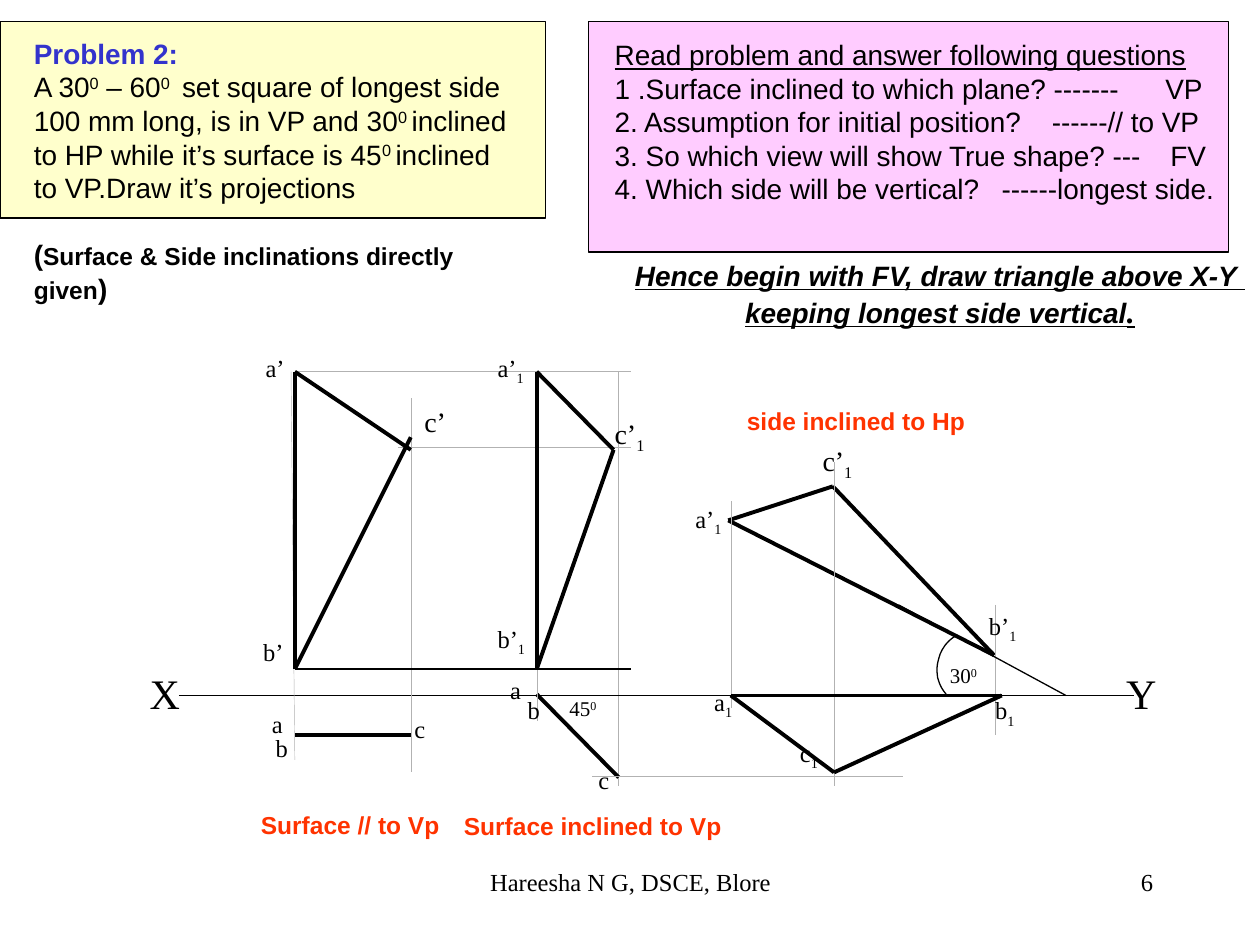
from itertools import pairwise

from lxml import etree
from pptx import Presentation
from pptx.dml.color import RGBColor
from pptx.enum.shapes import MSO_CONNECTOR, MSO_SHAPE
from pptx.enum.text import MSO_AUTO_SIZE, PP_ALIGN
from pptx.oxml.ns import qn
from pptx.util import Inches, Pt

LINE, RECT = MSO_CONNECTOR.STRAIGHT, MSO_SHAPE.RECTANGLE
LEFT, MID, RIGHT = PP_ALIGN.LEFT, PP_ALIGN.CENTER, PP_ALIGN.RIGHT
FIT = MSO_AUTO_SIZE.NONE

THEME = {
    "sans": "Arial", "serif": "Times New Roman",
    "black": "000000", "blue": "3333CC", "red": "FF3300", "gray": "B2B2B2",
    "cream": "FFFFCC", "pink": "FFCCFF",
    "axis": 24, "big": 18, "body": 16, "label": 14, "small": 12,
}
PENS = {"guide": ("gray", 0.25), "thin": ("black", 0.75), "edge": ("black", 2.25)}
SUP, SUB = {"shift": 30000}, {"shift": -25000}
BODY = {"font": "sans", "size": "body"}
BOLD = BODY | {"bold": True}
HEAD = BOLD | {"italic": True, "under": True}
NOTE = BOLD | {"size": "label", "color": "red"}

# Each run is (text, changes to the base style)
PROBLEM = [
    [("Problem 2:", {"bold": True, "color": "blue"})],
    [("A 30", {}), ("0", SUP), (" – 60", {}), ("0 ", SUP), (" set square of longest side", {})],
    [("100 mm long, is in VP and 30", {}), ("0 ", SUP), ("inclined", {})],
    [("to HP while it’s surface is 45", {}), ("0 ", SUP), ("inclined", {})],
    [("to VP.Draw it’s projections", {})],
    [("(", BOLD), ("Surface & Side inclinations directly given", BOLD | {"size": "label"}),
     (")", BOLD)],
]
# Question, answer, tab stop of the answer
ASKED = [
    ("1 .Surface inclined to which plane? -------", "VP", 4.37),
    ("2. Assumption for initial position?", "------// to VP", 3.47),
    ("3. So which view will show True shape? ---", "FV", 4.41),
    ("4. Which side will be vertical?", "------longest side.", 3.07),
]
HENCE = [
    [("Hence begin with FV, draw triangle above X-Y ", {})],
    [("keeping longest side vertical", {}), (".", {"font": "serif", "size": "big"})],
]

PANELS = [(0, 0.17, 4.33, 1.56, "cream"), (4.67, 0.17, 5.08, 1.83, "pink")]

# Pen, then the points it joins
PATHS = [
    ("guide", (4.91, 2.95), (4.91, 6.24)),
    ("thin", (1.42, 5.52), (9, 5.52)),
    ("guide", (3.26, 3.16), (3.26, 6.13)),
    ("guide", (2.31, 2.95), (2.34, 6.03)),
    ("edge", (2.34, 5.83), (3.26, 5.83)),
    ("edge", (4.26, 5.51), (4.91, 6.17)),
    ("guide", (4.26, 5.72), (4.26, 2.95)),
    ("guide", (2.34, 2.95), (5.01, 2.95)),
    ("thin", (2.34, 5.31), (5.01, 5.31)),
    ("guide", (3.16, 3.55), (5.01, 3.55)),
    ("edge", (4.26, 2.95), (4.26, 5.31), (4.87, 3.57), (4.26, 2.95)),
    ("edge", (5.78, 4.13), (7.89, 5.2), (6.61, 3.86), (5.78, 4.13)),
    ("guide", (5.8, 3.98), (5.8, 5.62)),
    ("guide", (6.62, 3.67), (6.62, 6.24)),
    ("guide", (7.9, 4.8), (7.9, 5.83)),
    ("edge", (5.8, 5.52), (6.62, 6.13), (7.95, 5.52), (5.8, 5.52)),
    ("edge", (3.26, 3.57), (2.34, 2.95), (2.34, 5.31), (3.26, 3.47)),
    ("thin", (7.13, 4.8), (8.46, 5.52)),
    ("guide", (4.7, 6.16), (7.17, 6.16)),
]
ARC = [
    [(7.6, 5.04), (7.52, 5.08), (7.47, 5.15), (7.45, 5.23)],
    [(7.45, 5.23), (7.42, 5.33), (7.44, 5.43), (7.51, 5.51)],
]
GRID = 1000  # freeform units to the inch

# Left, top, width, text, index, kind of index, size
LABELS = [
    (1.09, 5.25, 0.44, "X", "", SUB, "axis"), (8.84, 5.25, 0.44, "Y", "", SUB, "axis"),
    (2.01, 2.75, 0.43, "a’", "", SUB, "label"), (1.99, 5.01, 0.36, "b’", "", SUB, "label"),
    (3.27, 3.16, 0.37, "c’", "", SUB, "body"), (2.06, 5.58, 0.28, "a", "", SUB, "label"),
    (2.09, 5.77, 0.3, "b", "", SUB, "label"), (3.19, 5.62, 0.28, "c", "", SUB, "label"),
    (3.85, 2.75, 0.41, "a’", "1", SUB, "label"), (3.85, 4.9, 0.42, "b’", "1", SUB, "label"),
    (4.78, 3.26, 0.43, "c’", "1", SUB, "body"), (3.95, 5.31, 0.28, "a", "", SUB, "label"),
    (4.09, 5.47, 0.3, "b", "", SUB, "label"), (4.65, 6.02, 0.28, "c", "", SUB, "label"),
    (5.42, 3.95, 0.41, "a’", "1", SUB, "label"), (7.75, 4.8, 0.42, "b’", "1", SUB, "label"),
    (6.43, 3.47, 0.5, "c’", "1", SUB, "body"), (5.57, 5.4, 0.34, "a", "1", SUB, "label"),
    (7.8, 5.47, 0.44, "b", "1", SUB, "label"), (6.25, 5.81, 0.34, "c", "1", SUB, "label"),
    (7.44, 5.21, 0.62, "30", "0", SUP, "small"), (4.42, 5.47, 0.55, "45", "0", SUP, "small"),
]
NOTES = [
    (1.97, 6.38, 1.62, "Surface // to Vp"),
    (3.58, 6.39, 2.25, "Surface inclined to Vp"),
    (5.83, 3.17, 1.93, "side inclined to Hp"),
]
FOOTER = [(7.17, 2.08, "6", RIGHT), (3.42, 3.17, "Hareesha N G, DSCE, Blore", MID)]


def paint(name):
    return RGBColor.from_string(THEME[name])


def ink(line, pen):
    name, width = PENS[pen]
    line.color.rgb = paint(name)
    line.width = Pt(width)


def write(slide, box, paras, base, align=LEFT, wrap=False):
    frame = slide.shapes.add_textbox(*map(Inches, box)).text_frame
    frame.word_wrap = wrap
    frame.auto_size = FIT
    for i, runs in enumerate(paras):
        para = frame.add_paragraph() if i else frame.paragraphs[0]
        para.alignment = align
        for text, change in runs:
            style = {"color": "black"} | base | change
            run = para.add_run()
            run.text = text
            font = run.font
            font.name = THEME[style["font"]]
            font.size = Pt(THEME[style["size"]])
            font.color.rgb = paint(style["color"])
            font.bold = style.get("bold", False)
            font.italic = style.get("italic", False)
            font.underline = style.get("under", False)
            if "shift" in style:
                run._r.get_or_add_rPr().set("baseline", str(style["shift"]))
    return frame.paragraphs


def add_tab(para, stop):
    tabs = etree.SubElement(para._p.get_or_add_pPr(), qn("a:tabLst"))
    etree.SubElement(tabs, qn("a:tab"), pos=str(Inches(stop)), algn="l")


def join(slide, pen, points):
    for start, end in pairwise(points):
        line = slide.shapes.add_connector(LINE, *map(Inches, start + end))
        ink(line.line, pen)
        etree.SubElement(line._element.spPr, qn("a:effectLst"))


def bend(curve, steps=12):
    """Points along a cubic curve, in grid units."""
    for i in range(steps + 1):
        t = i / steps
        parts = ((1 - t) ** 3, 3 * t * (1 - t) ** 2, 3 * t * t * (1 - t), t ** 3)
        yield tuple(round(GRID * sum(k * p[axis] for k, p in zip(parts, curve)))
                    for axis in (0, 1))


def draw_arc(slide):
    first, *rest = [point for curve in ARC for point in bend(curve)]
    pen = slide.shapes.build_freeform(*first, scale=Inches(1) / GRID)
    pen.add_line_segments(rest, close=False)
    arc = pen.convert_to_shape()
    arc.shadow.inherit = False
    arc.fill.background()
    ink(arc.line, "thin")


def main():
    deck = Presentation()
    deck.slide_width, deck.slide_height = Inches(10), Inches(7.5)
    slide = deck.slides.add_slide(deck.slide_layouts[6])

    for *box, fill in PANELS:
        panel = slide.shapes.add_shape(RECT, *map(Inches, box))
        panel.shadow.inherit = False
        panel.fill.solid()
        panel.fill.fore_color.rgb = paint(fill)
        ink(panel.line, "thin")

    paras = write(slide, (0.17, 0.24, 4.15, 2.24), PROBLEM, BODY, wrap=True)
    paras[-1].space_before = Pt(19)
    asked = [[("Read problem and answer following questions", {"under": True})]]
    asked += [[(f"{query}\t{reply}", {})] for query, reply, _ in ASKED]
    paras = write(slide, (4.78, 0.25, 5.22, 1.44), asked, BODY, wrap=True)
    for para, (_, _, stop) in zip(paras[1:], ASKED):
        add_tab(para, stop)
    write(slide, (4.93, 2, 5.06, 0.97), HENCE, HEAD, MID)

    for pen, *points in PATHS:
        join(slide, pen, points)
    draw_arc(slide)

    for x, y, w, text, index, kind, size in LABELS:
        runs = [(text, {})] + ([(index, kind)] if index else [])
        high = THEME[size] / 60 + 0.1
        write(slide, (x, y, w, high), [runs], {"font": "serif", "size": size})
    for x, y, w, text in NOTES:
        write(slide, (x, y, w, 0.34), [[(text, {})]], NOTE, MID)
    for x, w, text, align in FOOTER:
        write(slide, (x, 6.83, w, 0.5), [[(text, {})]],
              {"font": "serif", "size": "label"}, align, True)
    deck.save("out.pptx")


if __name__ == "__main__":
    main()
